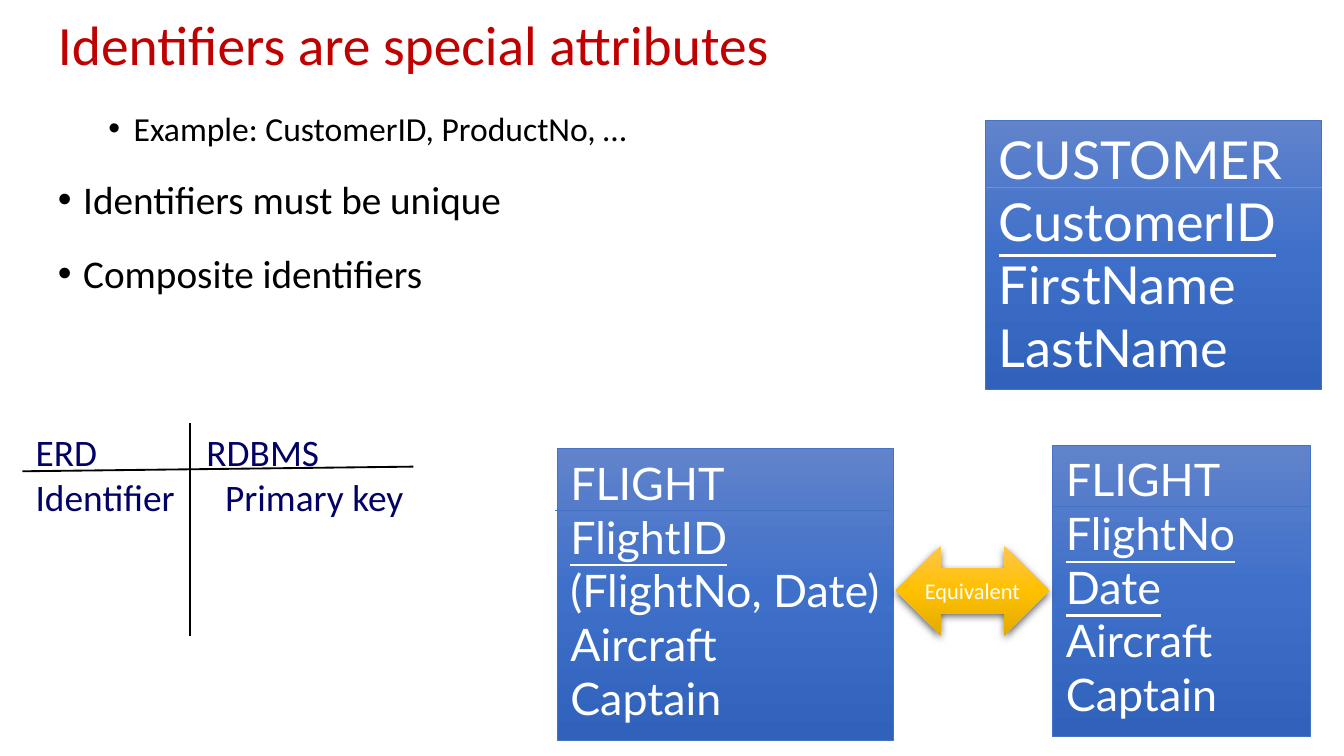
import pptx
import pptx.util
import pptx.dml.color
import pptx.enum.shapes
import pptx.enum.text
import pptx.oxml
import pptx.oxml.ns
import copy
from pptx.util import Pt

SHAPE = pptx.enum.shapes.MSO_SHAPE
ANCHOR = pptx.enum.text.MSO_ANCHOR
ALIGN = pptx.enum.text.PP_ALIGN
NAMESPACE = pptx.oxml.ns.nsdecls("a")
BLUES = ("6183CB", "3E70CA", "3062BB")
GOLDS = ("FFC64B", "FFC000", "E3AB00")


def color(value):
    return pptx.dml.color.RGBColor.from_string(value)


def append_xml(parent, xml):
    parent.append(pptx.oxml.parse_xml(xml))


def write(frame, text, size=18, font="Calibri", fill="000000", underline=False,
          align=ALIGN.LEFT, line_spacing=None, before=0, after=0,
          bullet_indent=None, tab=None):
    """Write one paragraph, reusing the first one while it is empty."""
    paragraph = frame.paragraphs[0]
    if paragraph.runs:
        paragraph = frame.add_paragraph()
    paragraph.alignment = align
    paragraph.space_before, paragraph.space_after = Pt(before), Pt(after)
    if line_spacing:
        paragraph.line_spacing = line_spacing
    properties = paragraph._p.get_or_add_pPr()
    if bullet_indent is not None:
        properties.set("marL", str(Pt(bullet_indent)))
        properties.set("indent", str(Pt(-13.5)))
        append_xml(properties, f'<a:buFont {NAMESPACE} typeface="Arial"/>')
        append_xml(properties, f'<a:buChar {NAMESPACE} char="•"/>')
    if tab:
        append_xml(properties, f'<a:tabLst {NAMESPACE}>'
                               f'<a:tab pos="{Pt(tab)}" algn="l"/></a:tabLst>')
    run = paragraph.add_run()
    run.text = text
    run.font.size, run.font.name = Pt(size), font
    run.font.underline = underline
    run.font.color.rgb = color(fill)


def add_text_box(slide, box, anchor=ANCHOR.TOP):
    frame = slide.shapes.add_textbox(*map(Pt, box)).text_frame
    frame.word_wrap = True
    frame.vertical_anchor = anchor
    return frame


def add_line(shapes, start, end, line_color, width):
    line = shapes.add_connector(pptx.enum.shapes.MSO_CONNECTOR.STRAIGHT,
                                *map(Pt, start + end))
    line.line.color.rgb = color(line_color)
    line.line.width = Pt(width)
    append_xml(line._element.spPr, f"<a:effectLst {NAMESPACE}/>")


def add_gradient_shape(shapes, kind, box, stop_colors):
    shape = shapes.add_shape(kind, *map(Pt, box))
    shape.fill.gradient()
    shape.fill.gradient_angle = 270
    stop_list = shape._element.spPr.find(".//" + pptx.oxml.ns.qn("a:gsLst"))
    stop_list.insert(1, copy.deepcopy(stop_list[0]))
    for index, stop in enumerate(shape.fill.gradient_stops):
        stop.position = index / 2
        stop.color.rgb = color(stop_colors[index])
    shape.line.fill.background()
    shape.shadow.inherit = False
    return shape


def add_title(slide, box):
    frame = add_text_box(slide, box, ANCHOR.MIDDLE)
    write(frame, "Identifiers are special attributes", size=29.7,
          fill="C00000", line_spacing=0.9)


def add_bullets(slide, box):
    frame = add_text_box(slide, box)
    write(frame, "Example: CustomerID, ProductNo, …", bullet_indent=40.5,
          line_spacing=0.8, before=3.8, after=12)
    for text in ("Identifiers must be unique", "Composite identifiers"):
        write(frame, text, size=21, bullet_indent=13.5,
              line_spacing=0.8, before=7.5, after=12)


def add_terms(slide, box):
    """Two columns of terms divided by a cross of thin lines."""
    left, top, width, height = box
    add_line(slide.shapes, (left, top + 26), (left + 209.5, top + 23.5), "000000", 1)
    add_line(slide.shapes, (left + 90, top), (left + 90, top + height), "000000", 1)
    frame = add_text_box(slide, (left, top, width, 55.5))
    write(frame, "ERD\tRDBMS", size=20, fill="000066", tab=91.5)
    write(frame, "Identifier\tPrimary key", size=20, fill="000066", tab=101.5)


def add_entity(slide, box, rows, identifiers, size, rule_top, rule_shift=0,
               rule_color="4472C4"):
    """Entity box: name, rule below it, attributes with identifiers underlined."""
    left, top, width, height = box
    shapes = slide.shapes.add_group_shape().shapes
    shape = add_gradient_shape(shapes, SHAPE.RECTANGLE, box, BLUES)
    shape.line.color.rgb = color("4472C4")
    shape.line.width = Pt(0.5)
    frame = shape.text_frame
    frame.word_wrap = False
    frame.vertical_anchor = ANCHOR.TOP
    for row in rows:
        write(frame, row, size=size, font="Lato", fill="FFFFFF",
              underline=row in identifiers)
    rule_left, rule_y = left + rule_shift, top + rule_top
    add_line(shapes, (rule_left, rule_y), (rule_left + width, rule_y), rule_color, 0.5)


def add_equivalence(slide, box):
    shape = add_gradient_shape(slide.shapes, SHAPE.LEFT_RIGHT_ARROW, box, GOLDS)
    effects = shape._element.spPr.find(pptx.oxml.ns.qn("a:effectLst"))
    append_xml(effects, f'<a:outerShdw {NAMESPACE} blurRad="{Pt(4.5)}" dist="{Pt(1.5)}" '
                        'dir="5400000" algn="ctr" rotWithShape="0"><a:srgbClr val="000000">'
                        '<a:alpha val="63000"/></a:srgbClr></a:outerShdw>')
    frame = shape.text_frame
    frame.margin_left = frame.margin_right = frame.margin_top = frame.margin_bottom = 0
    frame.vertical_anchor = ANCHOR.MIDDLE
    frame.word_wrap = True
    write(frame, "Equivalent", size=12, fill="FFFFFF", align=ALIGN.CENTER)


def main():
    presentation = pptx.Presentation()
    presentation.slide_width, presentation.slide_height = Pt(720), Pt(405)
    slide = presentation.slides.add_slide(presentation.slide_layouts[6])

    # Heading and main points
    add_title(slide, (24, 6.5, 690, 38))
    add_bullets(slide, (24, 58.5, 690, 132))

    # Simple identifier
    add_entity(slide, (528, 64.5, 180, 144),
               ("CUSTOMER", "CustomerID", "FirstName", "LastName"),
               ("CustomerID",), size=28, rule_top=36, rule_color="5B9BD5")

    # Terminology
    add_terms(slide, (12, 226.5, 234, 114))

    # Composite identifier in two equivalent forms
    add_entity(slide, (298.5, 240.5, 180, 156),
               ("FLIGHT", "FlightID", "(FlightNo, Date)", "Aircraft", "Captain"),
               ("FlightID",), size=24, rule_top=33, rule_shift=-1)
    add_entity(slide, (564, 238.5, 138, 156),
               ("FLIGHT", "FlightNo", "Date", "Aircraft", "Captain"),
               ("FlightNo", "Date"), size=24, rule_top=33)
    add_equivalence(slide, (480, 292.5, 82, 48))

    presentation.save("out.pptx")


if __name__ == "__main__":
    main()
